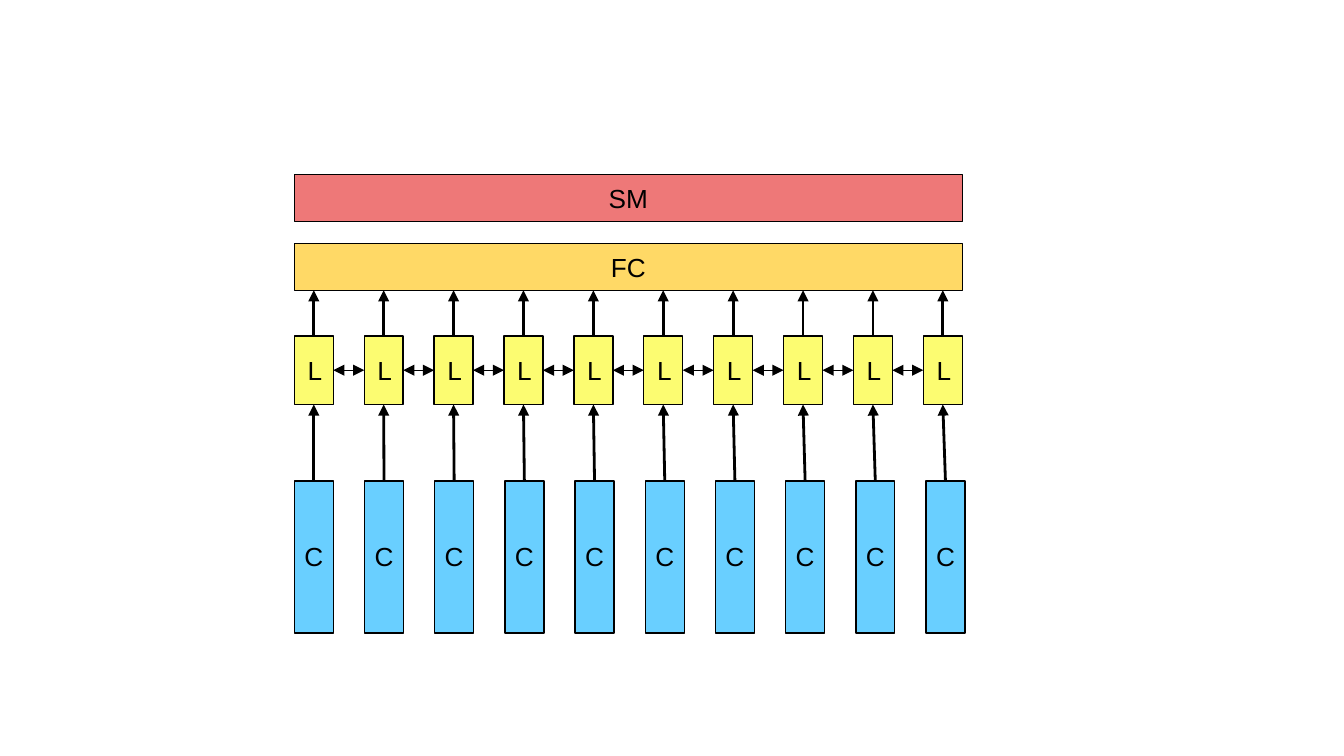
from itertools import pairwise
from pptx import Presentation
from pptx.dml.color import RGBColor as Color
from pptx.enum.shapes import MSO_CONNECTOR as Link, MSO_SHAPE as Shape
from pptx.enum.text import MSO_ANCHOR as Anchor, PP_ALIGN as Align
from pptx.oxml.ns import qn
from pptx.util import Inches, Pt
from lxml.etree import SubElement

COLS = 10
ROWS = 341
CELL = 0.29
TOP, LEFT, BOTTOM, RIGHT = range(4)


def tint(code):
    return Color.from_string(code)


def write(shape, text, size=14, align=Align.CENTER, anchor=Anchor.MIDDLE):
    frame = shape.text_frame
    frame.word_wrap = True
    frame.vertical_anchor = anchor
    frame.margin_left = frame.margin_right = Inches(0.1)
    frame.margin_top = frame.margin_bottom = Inches(0.1)
    para = frame.paragraphs[0]
    para.text = text
    para.alignment = align
    para.font.size = Pt(size)
    para.font.name = "Arial"
    para.font.color.rgb = tint("000000")


def block(slide, box, fill):
    shape = slide.shapes.add_shape(Shape.RECTANGLE, *map(Inches, box))
    shape.shadow.inherit = False
    shape.fill.solid()
    shape.fill.fore_color.rgb = tint(fill)
    shape.line.color.rgb = tint("000000")
    shape.line.width = Pt(0.75)
    return shape


def arrow(slide, start, end, width=1.5, ends=("tailEnd",)):
    line = slide.shapes.add_connector(Link.STRAIGHT, *start, *end)
    line.line.color.rgb = tint("000000")
    line.line.width = Pt(width)
    props = line._element.spPr
    for name in ends:
        SubElement(props.find(qn("a:ln")), qn("a:" + name), type="triangle")
    SubElement(props, qn("a:effectLst"))
    return line


def join(slide, first, side, last, other, **style):
    line = arrow(slide, (0, 0), (0, 0), **style)
    line.begin_connect(first, side)
    line.end_connect(last, other)


def bar(slide, box, text, fill):
    shape = block(slide, box, fill)
    write(shape, text)
    return shape


def steps(left, width):
    gap = (width - CELL) / (COLS - 1)
    return [left + gap * col for col in range(COLS)]


def l_row(slide, box):
    left, top, width, height = box
    cells = []
    for x in steps(left, width):
        cell = block(slide, (x, top, CELL, height), "FCFC71")
        write(cell, "L", align=Align.LEFT)
        cells.append(cell)
    for one, two in pairwise(cells):
        join(slide, one, RIGHT, two, LEFT, width=0.75, ends=("headEnd", "tailEnd"))
    return cells


def c_row(slide, box):
    left, top, width, height = box
    wide, tall = 0.52, 0.45
    cells = []
    for x in steps(left, width):
        cells.append(block(slide, (x, top, CELL, height), "69CFFF"))
        spot = (x + (CELL - wide) / 2, top + 0.3 * height, wide, tall)
        label = slide.shapes.add_textbox(*map(Inches, spot))
        write(label, "C", anchor=Anchor.TOP)
    return cells


def network(slide, box):
    left, top, width, height = box
    unit = height / ROWS

    def band(row, span, extra=0):
        return left, top + row * unit, width + extra, span * unit

    bar(slide, band(0, 35), "SM", "EE7878")
    dense = bar(slide, band(51, 35), "FC", "FFD966")
    upper = l_row(slide, band(120, 51))
    lower = c_row(slide, band(228, 113, extra=0.02))
    base = dense.top + dense.height
    for cell, source in zip(upper, lower):
        mid = cell.left + cell.width // 2
        line = arrow(slide, (mid, cell.top), (mid, base))
        line.begin_connect(cell, TOP)
        join(slide, source, TOP, cell, BOTTOM)


def main():
    deck = Presentation()
    deck.slide_width = Inches(10)
    deck.slide_height = deck.slide_width * 9 // 16
    slide = deck.slides.add_slide(deck.slide_layouts[6])
    network(slide, (2.19, 1.3, 4.97, 3.41))
    deck.save("out.pptx")


if __name__ == "__main__":
    main()
